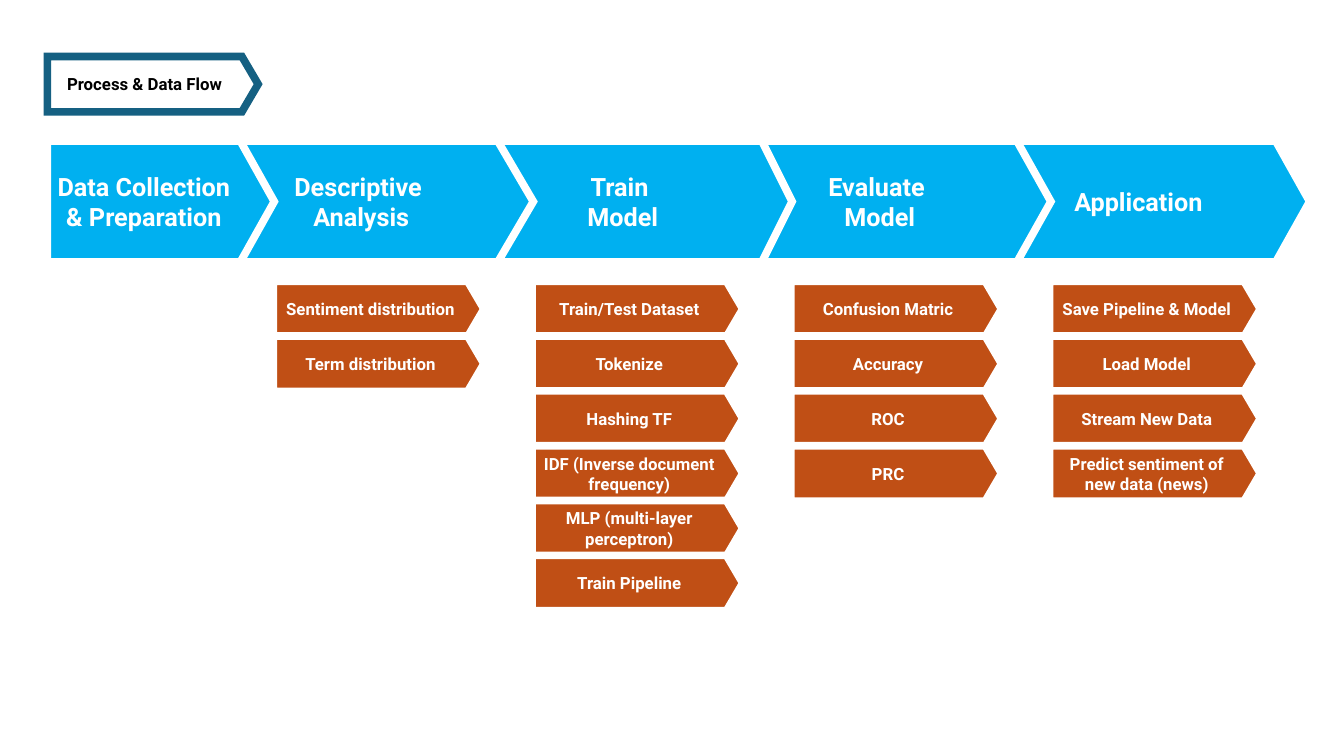
from lxml.etree import SubElement
from pptx import Presentation
from pptx.dml.color import RGBColor
from pptx.enum.shapes import MSO_SHAPE
from pptx.enum.text import MSO_ANCHOR, PP_ALIGN
from pptx.oxml.ns import qn
from pptx.util import Inches, Pt

COLORS = {
    "stage": "00B0F0",
    "step": "C04F15",
    "title_border": "156082",
    "white": "FFFFFF",
    "black": "000000",
}

STAGE_TOP, STAGE_HEIGHT, STAGE_WIDTH = 1.4, 1.2, 3.06
FIRST_STAGE_LEFT, FIRST_STAGE_WIDTH = 0.47, 2.25
STAGE_PITCH = (9.93 - 2.23) / 3
STEP_WIDTH, STEP_HEIGHT, STEP_HEAD = 2.09, 0.55, 0.293
STEP_INDENT = 0.48
STEP_TOP = 2.79
STEP_PITCH = (5.51 - STEP_TOP) / 5

# Label, arrowhead depth relative to height, steps below the stage
stages = [
    ("Data Collection & Preparation", 0.28, []),
    ("Descriptive \nAnalysis", 0.293, ["Sentiment distribution", "Term distribution"]),
    ("Train \nModel", 0.25, [
        "Train/Test Dataset",
        "Tokenize",
        "Hashing TF",
        "IDF (Inverse document frequency)",
        "MLP (multi-layer perceptron)",
        "Train Pipeline",
    ]),
    ("Evaluate \nModel", 0.28, ["Confusion Matric", "Accuracy", "ROC", "PRC"]),
    ("Application", 0.28, [
        "Save Pipeline & Model",
        "Load Model",
        "Stream New Data",
        "Predict sentiment of new data (news)",
    ]),
]

prs = Presentation()
prs.slide_width, prs.slide_height = Inches(13.33), Inches(7.5)
slide = prs.slides.add_slide(prs.slide_layouts[6])


def add_arrow(text, left, top, width=STEP_WIDTH, height=STEP_HEIGHT, head=STEP_HEAD,
              fill="step", border="white", color="white", size=12):
    """Add a pentagon-like arrow; each line of text becomes a paragraph."""
    arrow = slide.shapes.add_shape(
        MSO_SHAPE.RIGHT_ARROW, Inches(left), Inches(top), Inches(width), Inches(height))
    arrow.shadow.inherit = False
    arrow.adjustments[0] = 1
    arrow.adjustments[1] = head
    arrow.fill.solid()
    arrow.fill.fore_color.rgb = RGBColor.from_string(COLORS[fill])
    arrow.line.color.rgb = RGBColor.from_string(COLORS[border])
    arrow.line.width = Pt(5.5)
    outline = arrow.line._get_or_add_ln()
    SubElement(outline, qn("a:miter"), lim="800000")

    frame = arrow.text_frame
    frame.word_wrap = True
    frame.vertical_anchor = MSO_ANCHOR.MIDDLE
    frame.text = text
    for paragraph in frame.paragraphs:
        paragraph.alignment = PP_ALIGN.CENTER
        for run in paragraph.runs:
            run.font.name = "Roboto"
            run.font.size = Pt(size)
            run.font.bold = True
            run.font.color.rgb = RGBColor.from_string(COLORS[color])


# Later stages lie behind earlier ones, so each head overlaps the next stage
for index, (label, head, steps) in reversed(list(enumerate(stages))):
    if index == 0:
        left, width = FIRST_STAGE_LEFT, FIRST_STAGE_WIDTH
    else:
        left, width = 2.23 + (index - 1) * STAGE_PITCH, STAGE_WIDTH
    add_arrow(label, left, STAGE_TOP, width=width, height=STAGE_HEIGHT,
              head=head, fill="stage", size=18)
    for row, step in enumerate(steps):
        add_arrow(step, left + STEP_INDENT, STEP_TOP + row * STEP_PITCH)

add_arrow("Process & Data Flow", FIRST_STAGE_LEFT, 0.56,
          fill="white", border="title_border", color="black")

prs.save("out.pptx")
